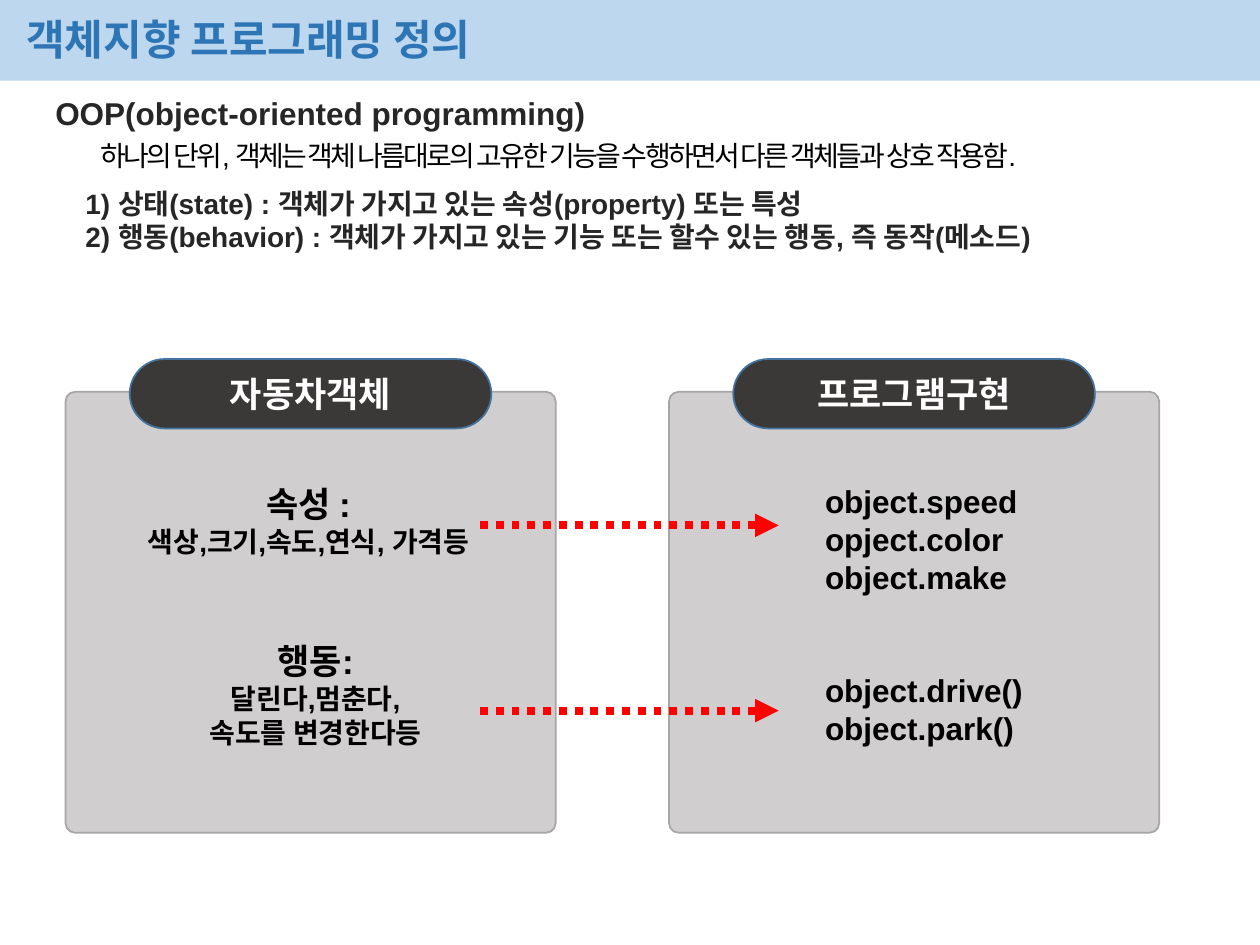
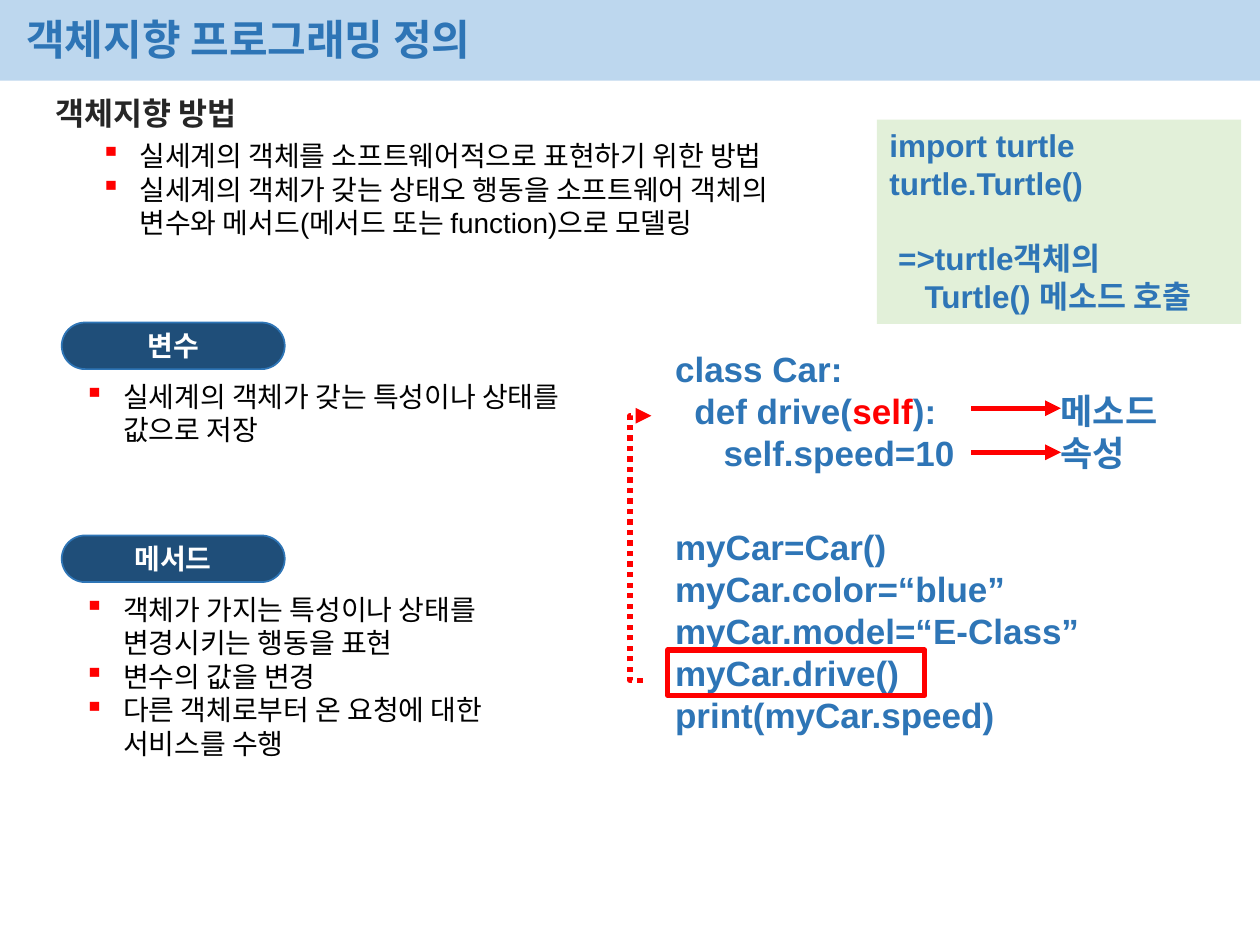
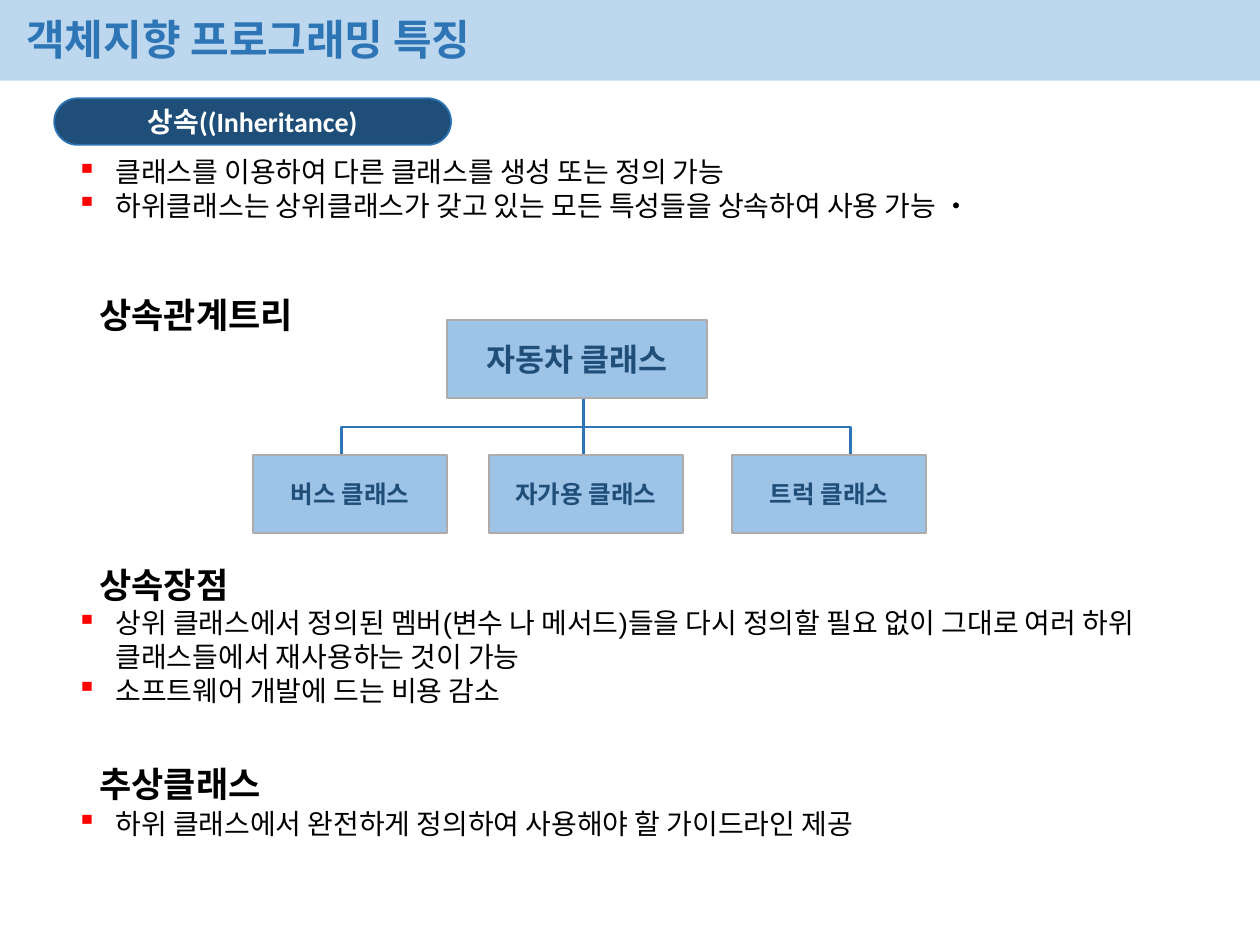
from lxml import etree
from pptx import Presentation
from pptx import util as u
from pptx.dml.color import RGBColor
from pptx.enum import dml, shapes, text
from pptx.oxml import ns

INK = {
    "band": "BDD7EE", "title": "2E75B6", "head": "262626", "black": "000000",
    "white": "FFFFFF", "red": "FF0000", "panel": "D0CECE", "edge": "A6A6A6",
    "dark": "3B3838", "rim": "43739E", "navy": "1F4E79", "mint": "E2F0D9",
    "node": "9DC3E6", "frame": "AFABAB",
}
KIND = shapes.MSO_SHAPE
MID = text.PP_ALIGN.CENTER
IN = u.Inches


def hue(name):
    return RGBColor.from_string(INK[name])


def sub(node, tag, **attrs):
    return etree.SubElement(node, ns.qn(tag), attrs)


def put(frame, lines, size=16, color="black", bold=False, font="Arial",
        align=None, bullet=False, left=0, before=0, tab=0, tight=0):
    for line in [lines] if isinstance(lines, str) else lines:
        para = frame.paragraphs[0]
        if para.runs:
            para = frame.add_paragraph()
        if align is not None:
            para.alignment = align
        if before:
            para.space_before = u.Pt(before)
        props = para._p.get_or_add_pPr()
        if bullet:
            props.set("marL", str(IN(0.31)))
            props.set("indent", str(-IN(0.31)))
            sub(sub(props, "a:buClr"), "a:srgbClr", val=INK["red"])
            sub(props, "a:buChar", char="▪")
        elif left:
            props.set("marL", str(IN(left)))
        if tab:
            sub(sub(props, "a:tabLst"), "a:tab", pos=str(IN(tab)), algn="l")
        for part, tint in [(line, color)] if isinstance(line, str) else line:
            for num, piece in enumerate(part.split("\n")):
                if num:
                    para.add_line_break()
                run = para.add_run()
                run.text = piece
                run.font.size = u.Pt(size)
                run.font.bold = bold
                run.font.name = font
                run.font.color.rgb = hue(tint)
                if tight:
                    run._r.get_or_add_rPr().set("spc", str(tight))


def note(slide, box, lines=(), wrap=True, **fmt):
    frame = slide.shapes.add_textbox(*map(IN, box)).text_frame
    frame.word_wrap = wrap
    frame.auto_size = text.MSO_AUTO_SIZE.SHAPE_TO_FIT_TEXT
    put(frame, lines, **fmt)
    return frame


def shape(slide, kind, box, fill=None, line=None, width=1, adj=None):
    item = slide.shapes.add_shape(kind, *map(IN, box))
    item.shadow.inherit = False
    if adj is not None:
        item.adjustments[0] = adj
    if fill:
        item.fill.solid()
        item.fill.fore_color.rgb = hue(fill)
    else:
        item.fill.background()
    if line:
        item.line.color.rgb = hue(line)
        item.line.width = u.Pt(width)
    else:
        item.line.fill.background()
    return item


def label(item, words, **fmt):
    frame = item.text_frame
    frame.word_wrap = True
    frame.vertical_anchor = text.MSO_ANCHOR.MIDDLE
    put(frame, words, bold=True, align=MID, **fmt)


def stroke(line, color, width, dots=False, arrow=False):
    line.color.rgb = hue(color)
    line.width = u.Pt(width)
    if dots:
        line.dash_style = dml.MSO_LINE.ROUND_DOT
    if arrow:
        sub(line._get_or_add_ln(), "a:tailEnd", type="triangle")


def link(slide, start, end, color="red", width=3, **look):
    wire = slide.shapes.add_connector(
        shapes.MSO_CONNECTOR.STRAIGHT, *map(IN, start + end))
    stroke(wire.line, color, width, **look)
    sub(wire._element.spPr, "a:effectLst")


def base(deck, title, head=None):
    slide = deck.slides.add_slide(deck.slide_layouts[6])
    shape(slide, KIND.RECTANGLE, (0, 0, 10, 0.64), "band")
    note(slide, (0.11, 0.06, 8.09, 0.5), title, size=24, color="title", bold=True)
    if head:
        note(slide, (0.34, 0.7, 8.09, 0.4), head, size=18, color="head", bold=True)
    return slide


def pill(slide, box, words):
    item = shape(slide, KIND.ROUNDED_RECTANGLE, box, "navy", "title", adj=0.5)
    label(item, words, color="white", font="Calibri")


def panel(slide, box, words):
    x, y, w, h = box
    shape(slide, KIND.ROUNDED_RECTANGLE, box, "panel", "edge", adj=0.022)
    cap = shape(slide, KIND.ROUNDED_RECTANGLE, (x + 0.51, y - 0.26, w - 1.02, 0.55),
                "dark", "rim", adj=0.5)
    label(cap, words, size=20, color="white")


def traits(slide, box, head, lines):
    frame = note(slide, box, head, size=20, bold=True, align=MID)
    put(frame, lines, bold=True, align=MID)


def code(slide, box):
    x, y, w, h = box
    style = dict(size=20, color="title", bold=True)
    note(slide, (x, y, w, 1.11), [
        "class Car:",
        [("  def drive(", "title"), ("self", "red"), ("):\t메소드", "title")],
        "     self.speed=10\t속성",
    ], tab=3.06, **style)
    note(slide, (x, y + 1.41, w, 2.05), [
        "myCar=Car()", "myCar.color=“blue”", "myCar.model=“E-Class”",
        "myCar.drive()", "print(myCar.speed)",
    ], **style)
    far, low, top = x - 0.26, y + 2.69, y + 0.59
    pen = slide.shapes.build_freeform(IN(far + 0.1), IN(low))
    pen.add_line_segments(
        [(IN(a), IN(b)) for a, b in [(far, low), (far, top), (far + 0.17, top)]],
        close=False)
    call = pen.convert_to_shape()
    call.shadow.inherit = False
    call.fill.background()
    stroke(call.line, "red", 3, dots=True, arrow=True)
    shape(slide, KIND.RECTANGLE, (x + 0.04, y + 2.45, 2.04, 0.36), None, "red", 3)
    for row in (0.53, 0.88):
        link(slide, (x + 2.45, y + row), (x + 3.16, y + row), arrow=True)


def hint(slide, box):
    item = shape(slide, KIND.RECTANGLE, box, "mint")
    frame = item.text_frame
    frame.word_wrap = True
    frame.vertical_anchor = text.MSO_ANCHOR.TOP
    style = dict(size=18, color="title", bold=True, align=text.PP_ALIGN.LEFT)
    put(frame, ["import turtle", "turtle.Turtle()"], **style)
    put(frame, "=>turtle객체의", left=0.07, before=21.6, **style)
    put(frame, "Turtle() 메소드 호출", left=0.28, **style)


def tree(slide, box):
    x, y, w, h = box
    link(slide, (x + 2.62, y + 0.6), (x + 2.62, y + 1.16), "title", 1.5)
    fork = shape(slide, KIND.LEFT_BRACKET, (x + 2.43, y - 0.88, 0.58, 4.04),
                 None, "title", 1.5, adj=0)
    fork.rotation = 90
    nodes = [
        ("자동차 클래스", 1.54, 0, 2.06, 18),
        ("버스 클래스", 0, 1.07, 1.54, 14),
        ("자가용 클래스", 1.87, 1.07, 1.54, 14),
        ("트럭 클래스", 3.8, 1.07, 1.54, 14),
    ]
    for words, dx, dy, wide, size in nodes:
        item = shape(slide, KIND.RECTANGLE, (x + dx, y + dy, wide, 0.62),
                     "node", "frame")
        label(item, words, size=size, color="navy", font="Calibri")


def define(deck):
    slide = base(deck, "객체지향 프로그래밍 정의", "OOP(object-oriented programming)")
    note(slide, (0.7, 1.05, 9.01, 0.37),
         "하나의 단위, 객체는 객체 나름대로의 고유한 기능을 수행하면서 다른 객체들과 상호 작용함.",
         tight=-150)
    note(slide, (0.58, 1.43, 9.4, 0.64), [
        "1) 상태(state) : 객체가 가지고 있는 속성(property) 또는 특성",
        "2) 행동(behavior) : 객체가 가지고 있는 기능 또는 할수 있는 행동, 즉 동작(메소드)",
    ], color="head", bold=True)
    for x, words in ((0.52, "자동차객체"), (5.31, "프로그램구현")):
        panel(slide, (x, 3.11, 3.89, 3.5), words)
    traits(slide, (0.7, 3.78, 3.5, 0.71), "속성 :", ["색상,크기,속도,연식, 가격등"])
    traits(slide, (0.7, 5.03, 3.61, 0.98), "행동:", ["달린다,멈춘다,", "속도를 변경한다등"])
    note(slide, (6.45, 3.78, 1.97, 1.01),
         ["object.speed", "opject.color", "object.make"], size=18, bold=True)
    note(slide, (6.45, 5.28, 1.97, 0.71),
         ["object.drive()", "object.park()"], size=18, bold=True)
    for y in (4.17, 5.64):
        link(slide, (3.81, y), (6.18, y), width=4.5, dots=True, arrow=True)


def method(deck):
    slide = base(deck, "객체지향 프로그래밍 정의", "객체지향 방법")
    note(slide, (0.7, 1.05, 9.01, 0.91), [
        "실세계의 객체를 소프트웨어적으로 표현하기 위한 방법",
        "실세계의 객체가 갖는 상태오 행동을 소프트웨어 객체의\n"
        "변수와 메서드(메서드 또는 function)으로 모델링",
    ], bullet=True)
    parts = [
        (2.56, "변수", 0.64, ["실세계의 객체가 갖는 특성이나 상태를 값으로 저장"]),
        (4.25, "메서드", 1.45, [
            "객체가 가지는 특성이나 상태를 변경시키는 행동을 표현",
            "변수의 값을 변경",
            "다른 객체로부터 온 요청에 대한 서비스를 수행",
        ]),
    ]
    for y, words, tall, lines in parts:
        note(slide, (0.57, y + 0.4, 3.97, tall), lines, bullet=True)
        pill(slide, (0.49, y, 1.77, 0.37), words)
    code(slide, (5.26, 2.71, 4.7, 3.46))
    hint(slide, (6.96, 0.95, 2.89, 1.62))


def inherit(deck):
    slide = base(deck, "객체지향 프로그래밍 특징")
    pill(slide, (0.43, 0.78, 3.15, 0.37), "상속((Inheritance)")
    tree(slide, (2.01, 2.54, 5.34, 1.69))
    heads = [(2.28, 1.88, "상속관계트리"), (4.42, 1.32, "상속장점"), (6, 1.6, "추상클래스")]
    for y, wide, words in heads:
        note(slide, (0.69, y, wide, 0.44), words, wrap=False,
             size=20, bold=True, font="Calibri")
    lists = [
        (1.18, 0.64, [
            "클래스를 이용하여 다른 클래스를 생성 또는 정의 가능",
            "하위클래스는 상위클래스가 갖고 있는 모든 특성들을 상속하여 사용 가능 •",
        ]),
        (4.76, 0.91, [
            "상위 클래스에서 정의된 멤버(변수 나 메서드)들을 다시 정의할 필요 없이 "
            "그대로 여러 하위 클래스들에서 재사용하는 것이 가능",
            "소프트웨어 개발에 드는 비용 감소",
        ]),
        (6.35, 0.37, ["하위 클래스에서 완전하게 정의하여 사용해야 할 가이드라인 제공"]),
    ]
    for y, tall, lines in lists:
        note(slide, (0.51, y, 8.92, tall), lines, bullet=True)


def main():
    deck = Presentation()
    deck.slide_width, deck.slide_height = IN(10), IN(7.5)
    define(deck)
    method(deck)
    inherit(deck)
    deck.save("out.pptx")


if __name__ == "__main__":
    main()
